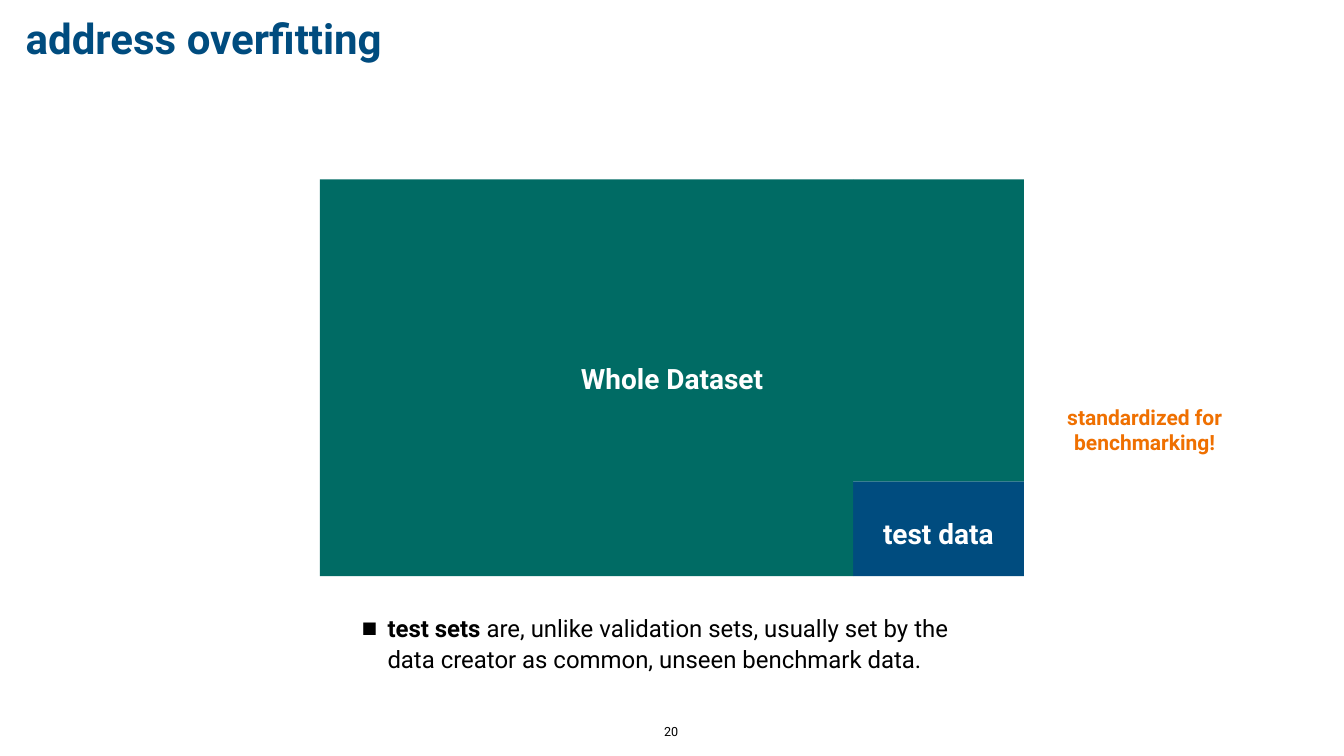
from lxml.etree import SubElement
from pptx import Presentation
from pptx.dml.color import RGBColor
from pptx.enum.shapes import MSO_SHAPE
from pptx.enum.text import MSO_ANCHOR, MSO_AUTO_SIZE, PP_ALIGN
from pptx.oxml.ns import qn
from pptx.util import Inches, Pt

BLUE = RGBColor(0x00, 0x4C, 0x7F)
GREEN = RGBColor(0x00, 0x6B, 0x64)
ORANGE = RGBColor(0xEF, 0x70, 0x01)
WHITE = RGBColor(0xFF, 0xFF, 0xFF)
BLACK = RGBColor(0x00, 0x00, 0x00)

# Edges of the dataset grid, in inches
LEFT, SPLIT, RIGHT = 6.35, 16.93, 20.32
TOP, TEST_TOP, BOTTOM = 3.56, 9.55, 11.43


def place(shape, box, anchor, wrap=True):
    shape.left, shape.top, shape.width, shape.height = map(Inches, box)
    frame_format = {
        "word_wrap": wrap,
        "auto_size": MSO_AUTO_SIZE.NONE,
        "vertical_anchor": anchor,
        "margin_left": Inches(0.06),
        "margin_right": Inches(0.06),
        "margin_top": Inches(0.06),
        "margin_bottom": Inches(0.06),
    }
    for name, value in frame_format.items():
        setattr(shape.text_frame, name, value)
    return shape.text_frame.paragraphs[0]


def add_run(paragraph, text, size, color, bold=True):
    run = paragraph.add_run()
    run.text = text
    font_format = {"name": "Roboto", "size": Pt(size), "bold": bold}
    for name, value in font_format.items():
        setattr(run.font, name, value)
    run.font.color.rgb = color


presentation = Presentation()
presentation.slide_width = Inches(26.67)
presentation.slide_height = Inches(15)
slide = presentation.slides.add_slide(presentation.slide_layouts[1])
for placeholder in slide.placeholders:
    if placeholder.placeholder_format.idx > 1:
        placeholder.element.getparent().remove(placeholder.element)

# Title
paragraph = place(slide.shapes.title, (0.45, 0.42, 7.97, 0.83), MSO_ANCHOR.MIDDLE)
paragraph.alignment = PP_ALIGN.LEFT
paragraph.line_spacing = 0.8
add_run(paragraph, "address overfitting", 60, BLUE)

# Dataset blocks, with the test data in the lower right corner
blocks = [
    (SPLIT, TEST_TOP, RIGHT, BOTTOM, BLUE),
    (LEFT, TOP, SPLIT, BOTTOM, GREEN),
    (SPLIT, TOP, RIGHT, TEST_TOP, GREEN),
]
for left, top, right, bottom, color in blocks:
    block = slide.shapes.add_shape(
        MSO_SHAPE.RECTANGLE, Inches(left), Inches(top),
        Inches(right - left), Inches(bottom - top))
    block.shadow.inherit = False
    block.fill.solid()
    block.fill.fore_color.rgb = color
    block.line.fill.background()

# Centred labels
labels = [
    ("test data", (17.27, 10.19, 2.7, 0.78), 40, WHITE),
    ("Whole Dataset", (11.3, 7.11, 4.07, 0.78), 40, WHITE),
    ("standardized for benchmarking!", (20.96, 7.96, 3.51, 1.13), 30, ORANGE),
]
for text, box, size, color in labels:
    label = slide.shapes.add_textbox(0, 0, 0, 0)
    paragraph = place(label, box, MSO_ANCHOR.MIDDLE)
    paragraph.alignment = PP_ALIGN.CENTER
    add_run(paragraph, text, size, color)

# Slide number, kept on one line
slide_number = slide.shapes.add_textbox(0, 0, 0, 0)
paragraph = place(slide_number, (13.12, 14.31, 0.4, 0.41), MSO_ANCHOR.BOTTOM, wrap=False)
paragraph.alignment = PP_ALIGN.CENTER
add_run(paragraph, "20", 18, BLACK, False)

# Explanation with a square bullet
paragraph = place(slide.placeholders[1], (7.12, 12.05, 12.42, 1.46), MSO_ANCHOR.TOP)
properties = paragraph._p.get_or_add_pPr()
properties.set("marL", str(Inches(0.51)))
properties.set("indent", str(-Inches(0.51)))
bullet_color = SubElement(properties, qn("a:buClr"))
SubElement(bullet_color, qn("a:srgbClr"), val=str(BLACK))
SubElement(properties, qn("a:buSzPct"), val="68000")
SubElement(properties, qn("a:buFont"), typeface="Roboto")
SubElement(properties, qn("a:buChar"), char="■")
paragraph.alignment = PP_ALIGN.LEFT
paragraph.line_spacing = 1.1
paragraph.space_before = Pt(0)
add_run(paragraph, "test sets", 34.2, BLACK)
add_run(paragraph, " are, unlike validation sets, usually set by the data creator "
        "as common, unseen benchmark data.", 34.2, BLACK, False)

presentation.save("out.pptx")
